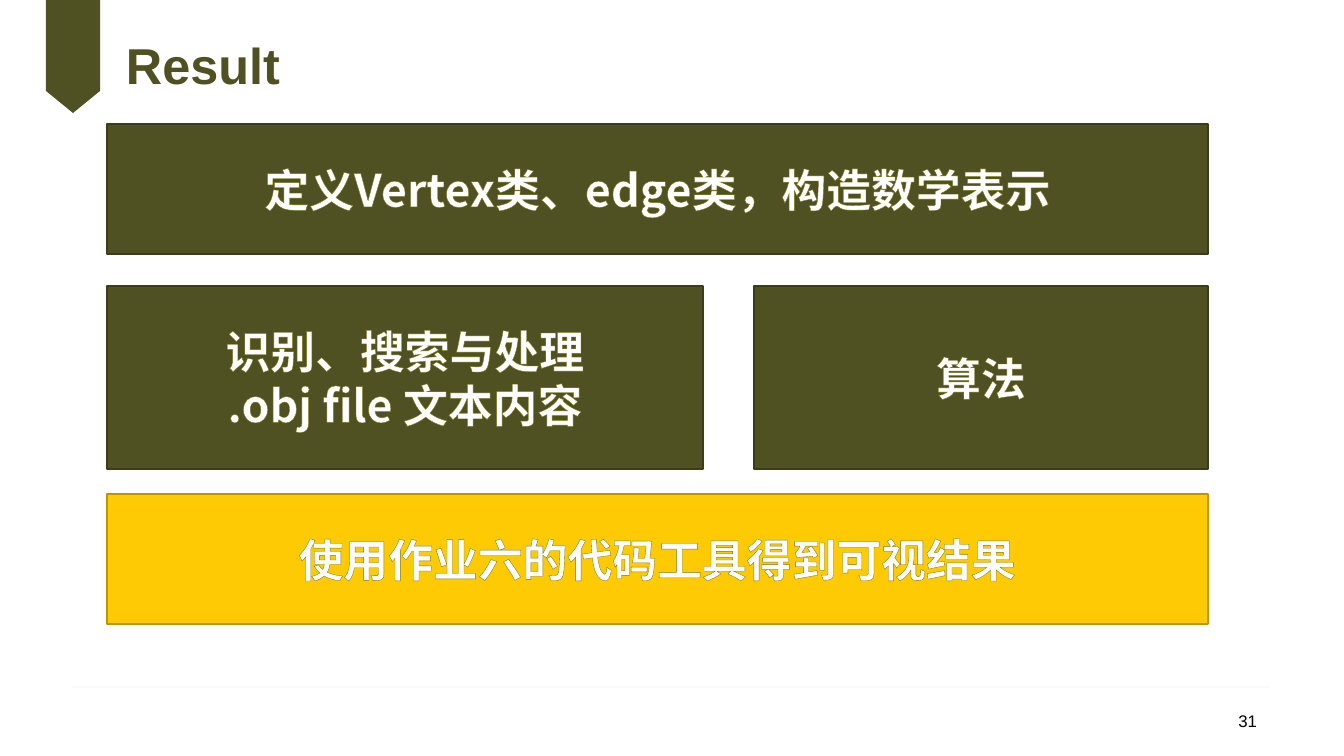
from lxml import etree
from pptx import Presentation
from pptx.dml.color import RGBColor
from pptx.enum.shapes import MSO_CONNECTOR, MSO_SHAPE
from pptx.enum.text import MSO_ANCHOR, PP_ALIGN
from pptx.oxml.ns import qn
from pptx.util import Pt

LEFT, CENTER, RIGHT = PP_ALIGN.LEFT, PP_ALIGN.CENTER, PP_ALIGN.RIGHT
MIDDLE = MSO_ANCHOR.MIDDLE
RECT, STRAIGHT = MSO_SHAPE.RECTANGLE, MSO_CONNECTOR.STRAIGHT

PX = 914400 / 100.8
OLIVE, OLIVE_EDGE = "505122", "3B3C19"
GOLD, GOLD_EDGE = "FDCA04", "BB9503"
WHITE, BLACK, RULE, TEXT_EDGE = "FFFFFF", "000000", "BFBFBF", "7F7611"
LATIN, CJK = "Arial", "Noto Sans CJK SC"

TITLE = "Result"
PAGE = "31"
# Each row: top, height, fill, edge, then its boxes as (width, lines)
ROWS = [
    (124, 130, OLIVE, OLIVE_EDGE, [(1101, ["定义Vertex类、edge类，构造数学表示"])]),
    (286, 183, OLIVE, OLIVE_EDGE, [(596, ["识别、搜索与处理", ".obj file 文本内容"]),
                                   (454, ["算法"])]),
    (494, 130, GOLD, GOLD_EDGE, [(1101, ["使用作业六的代码工具得到可视结果"])]),
]
ROW_LEFT, BOX_GAP = 107, 51
RIBBON = [(100, 0), (100, 91), (73, 113), (46, 91), (46, 0)]


def px(*values):
    return [round(v * PX) for v in values]


def rgb(value):
    return RGBColor.from_string(value)


def outline_text(r, color, width):
    """Draw a thin contour around the letters of a run."""
    ln = etree.Element(qn("a:ln"), w=str(Pt(width)))
    fill = etree.SubElement(ln, qn("a:solidFill"))
    etree.SubElement(fill, qn("a:srgbClr"), val=color)
    r.font._element.insert(0, ln)


def write(s, lines, size, color, font=LATIN, bold=False, align=LEFT,
          spacing=None, edge=None):
    tf = s.text_frame
    tf.word_wrap = True
    tf.vertical_anchor = MIDDLE
    for i, line in enumerate(lines):
        p = tf.add_paragraph() if i else tf.paragraphs[0]
        p.alignment, p.line_spacing = align, spacing
        r = p.add_run()
        r.text = line
        r.font.size, r.font.bold, r.font.name = Pt(size), bold, font
        r.font.color.rgb = rgb(color)
        r.font._element.find(qn("a:latin")).addnext(
            etree.Element(qn("a:ea"), typeface=font))
        if edge:
            outline_text(r, edge, 0.8)


def paint(s, fill, edge=None):
    s.shadow.inherit = False
    s.fill.solid()
    s.fill.fore_color.rgb = rgb(fill)
    if edge:
        s.line.color.rgb = rgb(edge)
        s.line.width = Pt(1)
    else:
        s.line.fill.background()


def add_rule(sp):
    s = sp.add_connector(STRAIGHT, *px(73, 687, 1270, 687))
    s.line.color.rgb = rgb(RULE)
    s.line.width = Pt(0.25)
    color = s._element.spPr.find(".//" + qn("a:srgbClr"))
    etree.SubElement(color, qn("a:alpha"), val="47000")
    etree.SubElement(s._element.spPr, qn("a:effectLst"))


def add_ribbon(sp):
    builder = sp.build_freeform(*RIBBON[0], scale=PX)
    builder.add_line_segments(RIBBON[1:], close=True)
    paint(builder.convert_to_shape(), OLIVE)


def main():
    prs = Presentation()
    prs.slide_width, prs.slide_height = px(1344, 756)
    slide = prs.slides.add_slide(prs.slide_layouts[5])
    sp = slide.shapes

    add_rule(sp)
    add_ribbon(sp)

    title = sp.title
    title.left, title.top, title.width, title.height = px(126, 25, 900, 87)
    tf = title.text_frame
    tf.margin_left = tf.margin_top = tf.margin_right = tf.margin_bottom = 0
    write(title, [TITLE], 36, OLIVE, bold=True, spacing=0.9)

    for top, height, fill, edge, boxes in ROWS:
        left = ROW_LEFT
        for width, lines in boxes:
            s = sp.add_shape(RECT, *px(left, top, width, height))
            paint(s, fill, edge)
            write(s, lines, 32, WHITE, font=CJK, bold=True, align=CENTER,
                  edge=TEXT_EDGE)
            left += width + BOX_GAP

    page = sp.add_textbox(*px(965, 701, 302, 40))
    write(page, [PAGE], 12, BLACK, align=RIGHT)

    prs.save("out.pptx")


if __name__ == "__main__":
    main()
